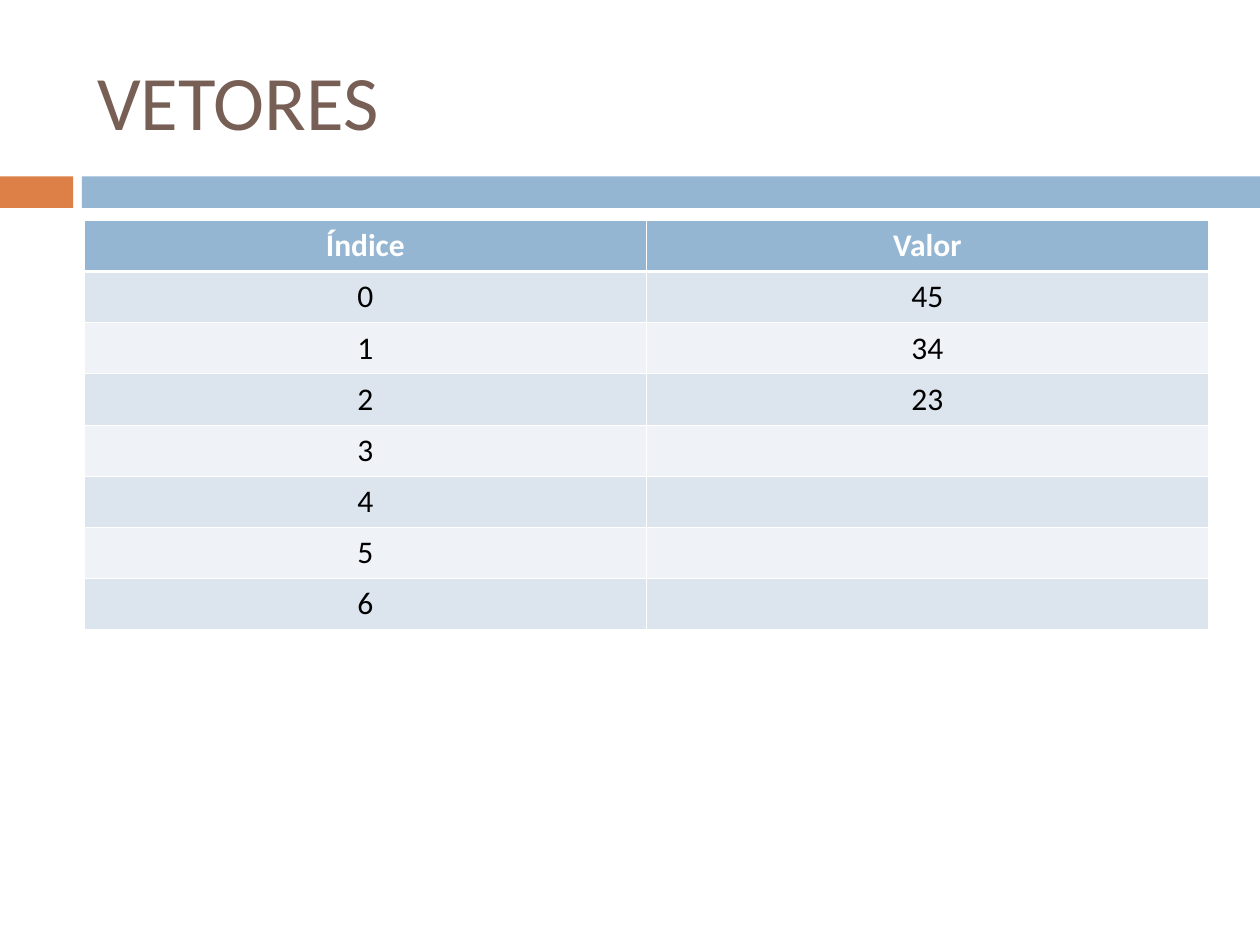
from dataclasses import dataclass

from lxml.etree import SubElement
from pptx import Presentation
from pptx.dml.color import RGBColor
from pptx.enum.shapes import MSO_SHAPE
from pptx.enum.text import MSO_ANCHOR, MSO_AUTO_SIZE, PP_ALIGN
from pptx.oxml.ns import qn
from pptx.util import Inches, Pt


@dataclass(frozen=True)
class Theme:
    font: str = "Calibri"
    title_size: int = 44
    table_size: int = 18
    title: str = "775F55"
    accent: str = "DD8047"
    blue: str = "94B6D2"
    band_dark: str = "DCE5EE"
    band_light: str = "EFF3F7"
    white: str = "FFFFFF"
    black: str = "000000"
    thin: float = 0.45
    thick: float = 1.47


def set_font(p, size, color, bold=False):
    p.font.name = theme.font
    p.font.size = Pt(size)
    p.font.bold = bold
    p.font.color.rgb = RGBColor.from_string(color)


def add_border(cell, side, width):
    ln = SubElement(cell._tc.get_or_add_tcPr(), qn(f"a:{side}"), w=str(Pt(width)))
    fill = SubElement(ln, qn("a:solidFill"))
    SubElement(fill, qn("a:srgbClr"), val=theme.white)


theme = Theme()
prs = Presentation()
prs.slide_width, prs.slide_height = Inches(10), Inches(7.5)
s = prs.slides.add_slide(prs.slide_layouts[5])

for left, width, color in [(0, 0.58, theme.accent), (0.65, 9.35, theme.blue)]:
    sp = s.shapes.add_shape(
        MSO_SHAPE.RECTANGLE, Inches(left), Inches(1.4), Inches(width), Inches(0.25)
    )
    sp.shadow.inherit = False
    sp.fill.solid()
    sp.fill.fore_color.rgb = RGBColor.from_string(color)
    sp.line.fill.background()

title = s.shapes.title
title.left, title.top = Inches(0.67), Inches(0.25)
title.width, title.height = Inches(8.92), Inches(1.08)
tf = title.text_frame
tf.text = "VETORES"
tf.word_wrap = True
tf.auto_size = MSO_AUTO_SIZE.NONE
tf.vertical_anchor = MSO_ANCHOR.MIDDLE
p = tf.paragraphs[0]
p.alignment = PP_ALIGN.LEFT
set_font(p, theme.title_size, theme.title)

values = ["45", "34", "23", "", "", "", ""]
rows = [("Índice", "Valor")] + [(str(i), value) for i, value in enumerate(values)]
table = s.shapes.add_table(
    len(rows), 2, Inches(0.67), Inches(1.75), Inches(8.92), Inches(3.24)
).table

for r, row in enumerate(rows):
    header = r == 0
    if header:
        fill = theme.blue
    else:
        fill = theme.band_dark if r % 2 else theme.band_light
    for c, text in enumerate(row):
        cell = table.cell(r, c)
        cell.text = text
        p = cell.text_frame.paragraphs[0]
        p.alignment = PP_ALIGN.CENTER
        set_font(p, theme.table_size, theme.white if header else theme.black, header)
        for side in ("lnL", "lnR", "lnT", "lnB"):
            under_header = (r, side) in [(0, "lnB"), (1, "lnT")]
            add_border(cell, side, theme.thick if under_header else theme.thin)
        cell.fill.solid()
        cell.fill.fore_color.rgb = RGBColor.from_string(fill)

prs.save("out.pptx")
